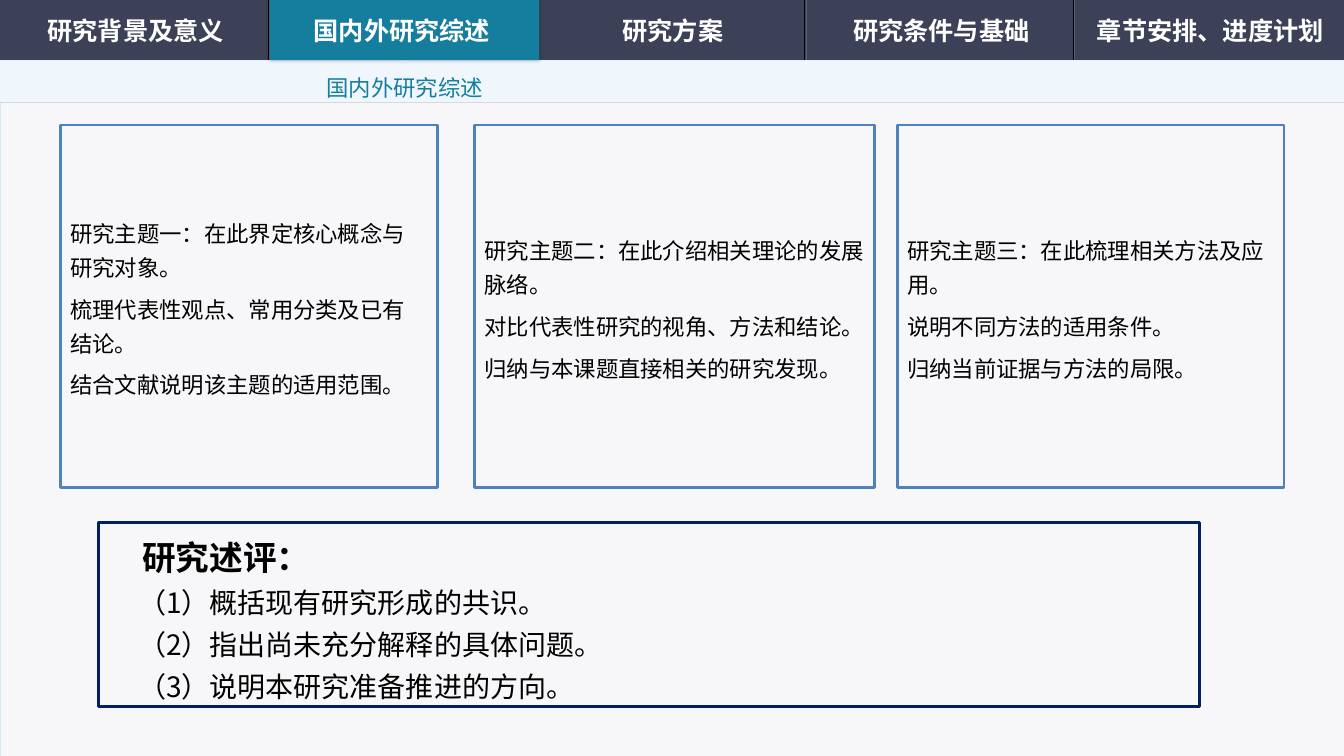
import pptx
import pptx.util
import pptx.dml.color
import pptx.enum.shapes
import pptx.enum.text
import pptx.oxml
import pptx.oxml.ns
from lxml import etree

Cm, Pt = pptx.util.Cm, pptx.util.Pt
SHAPE = pptx.enum.shapes.MSO_SHAPE
ALIGN = pptx.enum.text.PP_ALIGN
ANCHOR = pptx.enum.text.MSO_ANCHOR
qn = pptx.oxml.ns.qn

COLORS = {
    "white": "FFFFFF", "black": "000000", "nav": "3C4157", "teal": "157E9F",
    "panel": "F7F7F9", "panel_edge": "D4E7F9", "band": "EFF6FC",
    "rule": "D9D9D9", "groove": "596181", "card": "4F81BD", "review": "002060",
}
WIDTH, HEIGHT = 33.87, 19.05
NAV_H, BAND_END = 1.52, 2.59


def rgb(name):
    return pptx.dml.color.RGBColor.from_string(COLORS[name])


class Deck:
    """Holds the presentation, its font and the current slide."""

    def __init__(self, font):
        self.font = font
        self.prs = pptx.Presentation()
        self.prs.slide_width, self.prs.slide_height = Cm(WIDTH), Cm(HEIGHT)
        self.s = self.prs.slides.add_slide(self.prs.slide_layouts[6])

    def paint(self, sp, fill=None, line=None, weight=1):
        sp.shadow.inherit = False
        if fill:
            sp.fill.solid()
            sp.fill.fore_color.rgb = rgb(fill)
        else:
            sp.fill.background()
        if line:
            sp.line.color.rgb = rgb(line)
            sp.line.width = Pt(weight)
        else:
            sp.line.fill.background()
        return sp

    def rect(self, box, kind=SHAPE.RECTANGLE, **style):
        sp = self.s.shapes.add_shape(kind, *map(Cm, box))
        return self.paint(sp, **style)

    def glow(self, sp):
        effects = sp._element.spPr.find(qn("a:effectLst"))
        shadow = etree.SubElement(effects, qn("a:outerShdw"),
                                  blurRad=str(Pt(3)), dist="0", dir="16200000")
        color = etree.SubElement(shadow, qn("a:srgbClr"), val=COLORS["black"])
        etree.SubElement(color, qn("a:alpha"), val="20000")

    def line(self, x1, y1, x2, y2, color, weight):
        c = self.s.shapes.add_connector(
            pptx.enum.shapes.MSO_CONNECTOR.STRAIGHT, *map(Cm, (x1, y1, x2, y2)))
        c.line.color.rgb = rgb(color)
        c.line.width = Pt(weight)
        etree.SubElement(c._element.spPr, qn("a:effectLst"))

    def outline(self, points, **style):
        points = [(Cm(x), Cm(y)) for x, y in points]
        builder = self.s.shapes.build_freeform(*points[0])
        builder.add_line_segments(points[1:], close=True)
        return self.paint(builder.convert_to_shape(), **style)

    def textbox(self, box):
        return self.s.shapes.add_textbox(*map(Cm, box))

    def add_text(self, sp, lines, anchor=ANCHOR.MIDDLE, wrap=True, gap=0,
                 color="black", **paragraph_format):
        """Each line is (text, size, bold, first-line indent in cm)."""
        tf = sp.text_frame
        tf.word_wrap, tf.vertical_anchor = wrap, anchor
        for i, (text, size, bold, indent) in enumerate(lines):
            p = tf.add_paragraph() if i else tf.paragraphs[0]
            values = {"alignment": ALIGN.LEFT, "space_before": Pt(gap if i else 0)}
            for key, value in (values | paragraph_format).items():
                setattr(p, key, value)
            if indent:
                p._p.get_or_add_pPr().set("indent", str(Cm(indent)))
            r = p.add_run()
            r.text = text
            for key, value in {"size": Pt(size), "bold": bold, "name": self.font}.items():
                setattr(r.font, key, value)
            r.font.color.rgb = rgb(color)
            etree.SubElement(r._r.get_or_add_rPr(), qn("a:ea"), typeface=self.font)


def main():
    deck = Deck("Noto Sans CJK SC")

    # Navigation bar and page panel
    deck.rect((0, 0, WIDTH, NAV_H), fill="nav")
    deck.rect((0, NAV_H, WIDTH, HEIGHT - NAV_H), fill="panel",
              line="panel_edge", weight=0.5)
    for i in range(1, 5):
        x = 6.76 * i
        deck.line(x, 0, x, NAV_H, "black", 0.5)
        deck.line(x + 0.04, 0, x + 0.04, NAV_H, "groove", 0.75)

    # Subtitle band with its pointer
    deck.outline([(10.16, 1.22), (10.34, NAV_H), (WIDTH, NAV_H), (WIDTH, BAND_END),
                  (0, BAND_END), (0, NAV_H), (9.98, NAV_H)], fill="band")
    deck.line(0, BAND_END, WIDTH, BAND_END, "rule", 0.5)

    # Tabs, the second one active
    deck.glow(deck.rect((6.81, 0, 6.78, NAV_H), fill="teal"))
    tabs = [("研究背景及意义", 0.05), ("国内外研究综述", 6.76), ("研究方案", 13.59),
            ("研究条件与基础", 20.35), ("章节安排、进度计划", 27.13)]
    for label, x in tabs:
        tab = deck.rect((x, 0.25, 6.74, 1.04), SHAPE.ROUNDED_RECTANGLE)
        tab.adjustments[0] = 0
        deck.add_text(tab, [(label, 18, True, 0)], color="white", alignment=ALIGN.CENTER)

    # Subtitle
    deck.add_text(deck.textbox((7.98, 1.45, 4.5, 1.17)),
                  [("国内外研究综述", 16, False, 0)],
                  wrap=False, color="teal", line_spacing=1.5)

    # Topic cards
    cards = [
        (1.52, 9.5, ["研究主题一：在此界定核心概念与研究对象。",
                     "梳理代表性观点、常用分类及已有结论。",
                     "结合文献说明该主题的适用范围。"]),
        (11.96, 10.08, ["研究主题二：在此介绍相关理论的发展脉络。",
                        "对比代表性研究的视角、方法和结论。",
                        "归纳与本课题直接相关的研究发现。"]),
        (22.61, 9.75, ["研究主题三：在此梳理相关方法及应用。",
                       "说明不同方法的适用条件。",
                       "归纳当前证据与方法的局限。"]),
    ]
    for x, width, texts in cards:
        card = deck.rect((x, 3.15, width, 9.13), line="card", weight=2)
        deck.add_text(card, [(text, 16, False, 0) for text in texts],
                      gap=6, line_spacing=1.25)

    # Review box
    review = deck.rect((2.49, 13.16, 27.74, 4.65), line="review", weight=2)
    points = ["（1）概括现有研究形成的共识。", "（2）指出尚未充分解释的具体问题。",
              "（3）说明本研究准备推进的方向。"]
    deck.add_text(review,
                  [("研究述评：", 24, True, 0.85)] + [(t, 20, False, 0.74) for t in points],
                  anchor=ANCHOR.TOP, alignment=ALIGN.JUSTIFY, line_spacing=1.25)

    deck.prs.save("out.pptx")


if __name__ == "__main__":
    main()
